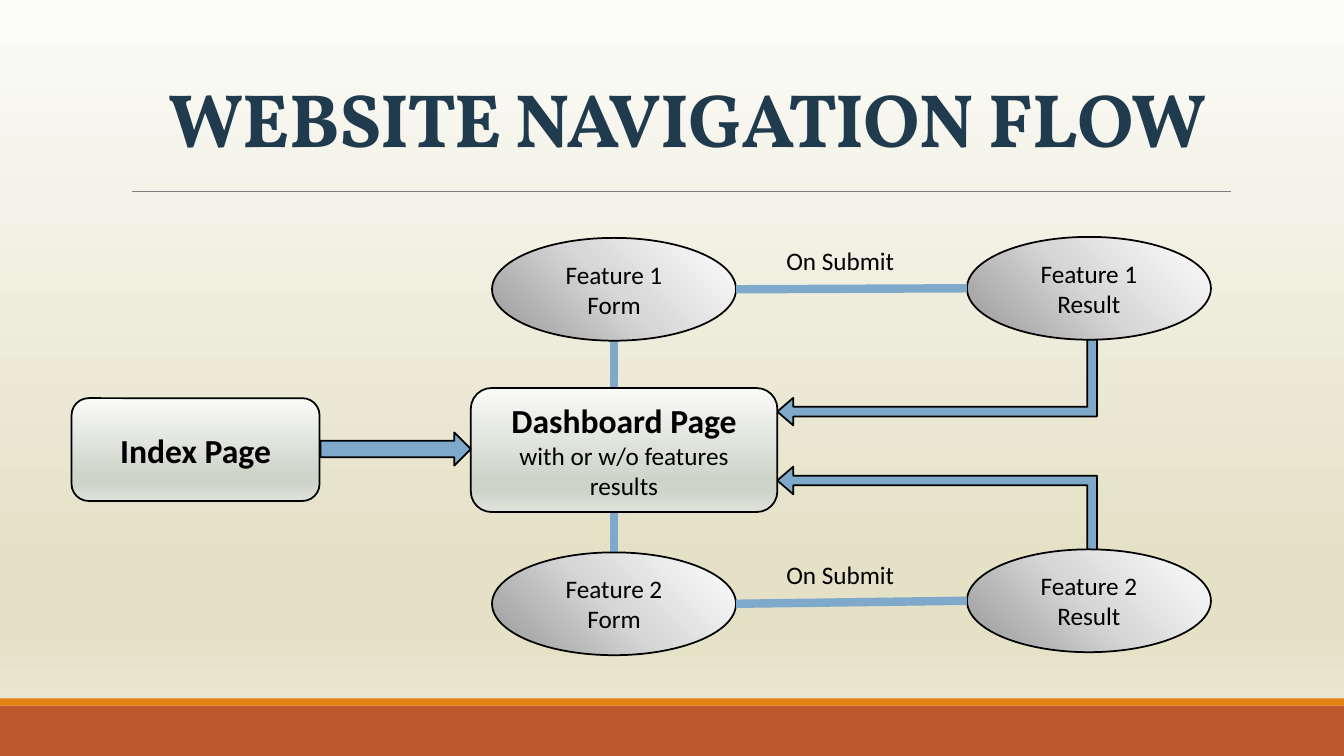
import pptx
import pptx.util
import pptx.dml.color
import pptx.enum.shapes
import pptx.enum.text
import pptx.oxml.ns
from dataclasses import dataclass
from lxml import etree

Inches = pptx.util.Inches
Pt = pptx.util.Pt
Kind = pptx.enum.shapes.MSO_SHAPE
Align = pptx.enum.text.PP_ALIGN
Anchor = pptx.enum.text.MSO_ANCHOR
qn = pptx.oxml.ns.qn


@dataclass(frozen=True)
class Theme:
    ink: str = "000000"
    navy: str = "203A4E"
    blue: str = "7EA9CA"
    rust: str = "BD582C"
    orange: str = "E48312"
    gray: str = "808080"
    paper: tuple = ((0, "FCFCF9"), (74, "E4E1C6"), (83, "E4E1C6"), (100, "EDEBD9"))
    sage: tuple = ((0, "FAFAF9"), (74, "CFD4C9"), (83, "CFD4C9"), (100, "DFE2DB"))
    silver: tuple = ((0, "979797"), (50, "D7D7D7"), (100, "FFFFFF"))
    title: int = 54
    head: int = 24
    body: int = 18
    font: str = "Calibri"
    serif: str = "Vollkorn"
    edge: float = 1.25
    link: float = 6
    rule: float = 0.5


THEME = Theme()


def color(code):
    return pptx.dml.color.RGBColor.from_string(code)


def blend(fill, host, stops, angle):
    fill.gradient()
    fill.gradient_angle = -angle % 360
    group = host.find(".//" + qn("a:gsLst"))
    group.clear()
    for place, code in stops:
        stop = etree.SubElement(group, qn("a:gs"), pos=str(place * 1000))
        etree.SubElement(stop, qn("a:srgbClr"), val=code)


def write(frame, text, size=THEME.body, font=THEME.font, ink=THEME.ink, bold=False,
          align=Align.CENTER, anchor=Anchor.MIDDLE, space=None, track=None, first=None):
    frame.word_wrap = True
    frame.vertical_anchor = anchor
    for index, line in enumerate(text.split("\n")):
        para = frame.paragraphs[0] if index == 0 else frame.add_paragraph()
        para.alignment = align
        if space:
            para.line_spacing = space
        run = para.add_run()
        run.text = line
        lead = first is not None and index == 0
        run.font.size = Pt(first if lead else size)
        run.font.bold = bold or lead
        run.font.name = font
        run.font.color.rgb = color(ink)
        if track:
            run.font._element.set("spc", str(int(track * 100)))


def label(slide, text, x, y, w, h, **form):
    box = slide.shapes.add_textbox(Inches(x), Inches(y), Inches(w), Inches(h))
    write(box.text_frame, text, **form)


def block(slide, kind, x, y, w, h, fill, edge=True):
    shape = slide.shapes.add_shape(kind, Inches(x), Inches(y), Inches(w), Inches(h))
    shape.shadow.inherit = False
    if isinstance(fill, str):
        shape.fill.solid()
        shape.fill.fore_color.rgb = color(fill)
    else:
        blend(shape.fill, shape.element, fill, 315 if kind == Kind.OVAL else 90)
    if edge:
        shape.line.color.rgb = color(THEME.ink)
        shape.line.width = Pt(THEME.edge)
    else:
        shape.line.fill.background()
    return shape


def page(slide, text, x, y, w, h):
    shape = block(slide, Kind.ROUNDED_RECTANGLE, x, y, w, h, THEME.sage)
    write(shape.text_frame, text, first=THEME.head)


def oval(slide, text, x, y):
    shape = block(slide, Kind.OVAL, x, y, 2.42, 1.02, THEME.silver)
    write(shape.text_frame, text)


def bend(slide, y, **flips):
    arrow = block(slide, Kind.BENT_UP_ARROW, 8.7, y, 1.19, 3.17, THEME.blue)
    arrow.rotation = 90
    for index, value in enumerate((0.08, 0.115, 0.133)):
        arrow.adjustments[index] = value
    frame = arrow.element.spPr.find(qn("a:xfrm"))
    for name, value in flips.items():
        frame.set(name, value)


def link(slide, x1, y1, x2, y2, ink=THEME.blue, width=THEME.link):
    line = slide.shapes.add_connector(
        pptx.enum.shapes.MSO_CONNECTOR.STRAIGHT,
        Inches(x1), Inches(y1), Inches(x2), Inches(y2))
    line.line.color.rgb = color(ink)
    line.line.width = Pt(width)
    etree.SubElement(line.element.spPr, qn("a:effectLst"))


def main():
    deck = pptx.Presentation()
    deck.slide_width = Inches(13.33)
    deck.slide_height = Inches(7.5)
    slide = deck.slides.add_slide(deck.slide_layouts[6])
    blend(slide.background.fill, slide.element, THEME.paper, 90)

    block(slide, Kind.RECTANGLE, 0, 7, 13.33, 0.5, THEME.rust, edge=False)
    block(slide, Kind.RECTANGLE, 0, 6.93, 13.33, 0.07, THEME.orange, edge=False)
    link(slide, 1.31, 1.9, 12.21, 1.9, ink=THEME.gray, width=THEME.rule)
    label(slide, "WEBSITE NAVIGATION FLOW", 1.18, 0.65, 11.28, 1.02,
          size=THEME.title, font=THEME.serif, ink=THEME.navy, bold=True,
          anchor=Anchor.BOTTOM, space=0.85, track=-0.5)

    bend(slide, 3.64, flipH="1", flipV="1")
    bend(slide, 2.04, flipV="1")
    link(slide, 6.09, 3.38, 6.09, 5.48)
    page(slide, "Dashboard Page\nwith or w/o features results", 4.67, 3.85, 3.04, 1.23)
    page(slide, "Index Page", 0.71, 3.95, 2.46, 1.02)
    block(slide, Kind.RIGHT_ARROW, 3.18, 4.29, 1.49, 0.33, THEME.blue)

    for number, left, right in ((1, 2.36, 2.35), (2, 5.48, 5.45)):
        oval(slide, f"Feature {number}\nForm", 4.88, left)
        oval(slide, f"Feature {number}\nResult", 9.59, right)
        label(slide, "On Submit", 7.7, left + 0.02, 1.58, 0.4,
              align=Align.LEFT, anchor=Anchor.TOP)
        link(slide, 7.3, left + 0.51, 9.59, right + 0.51)

    deck.save("out.pptx")


if __name__ == "__main__":
    main()
